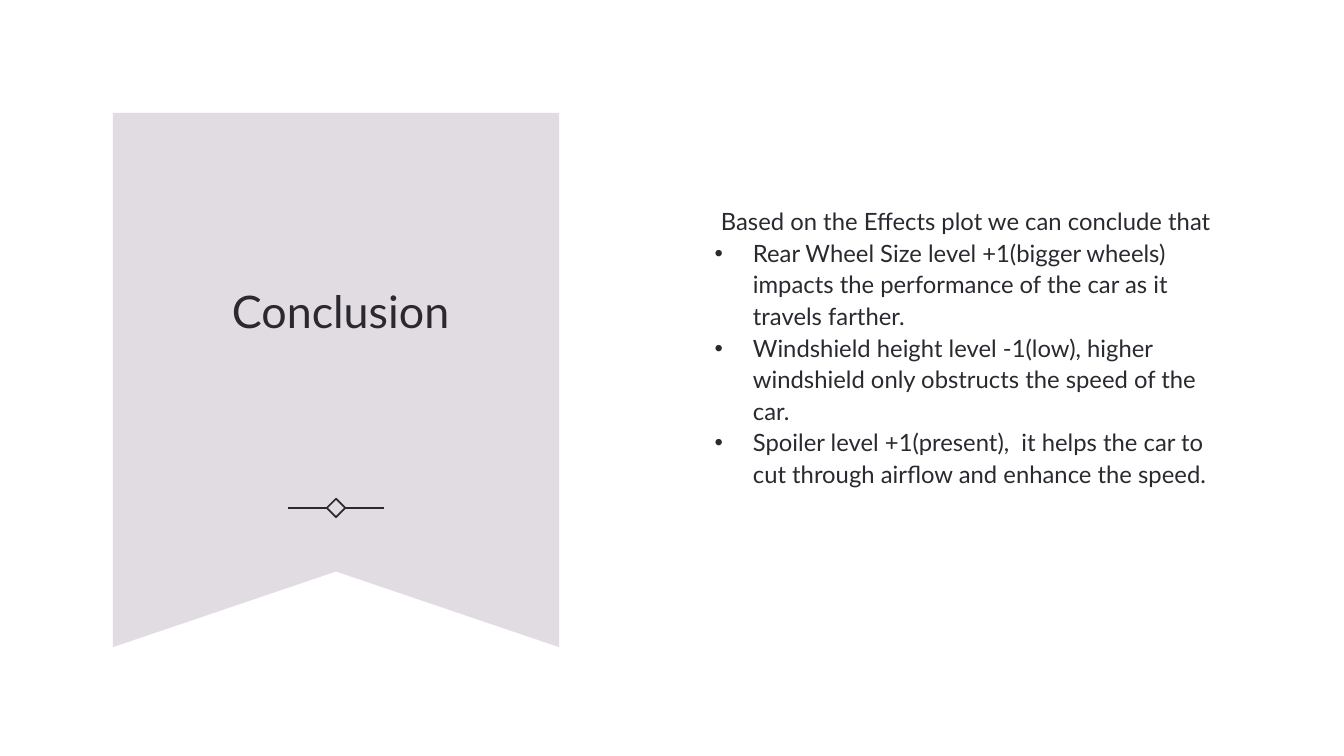
"""Build the conclusion slide: a ribbon banner with the title beside the findings."""
import lxml.etree
import pptx
import pptx.dml.color
import pptx.enum.shapes
import pptx.enum.text
import pptx.oxml.ns
import pptx.util

INK, LILAC = "2C2830", "E0DCE1"
FINDINGS = [
    "Rear Wheel Size level +1(bigger wheels) impacts the performance of the car as it travels farther.",
    "Windshield height level -1(low), higher windshield only obstructs the speed of the car.",
    "Spoiler level +1(present),  it helps the car to cut through airflow and enhance the speed.",
]

deck = pptx.Presentation()
deck.slide_width = pptx.util.Inches(13.33)
deck.slide_height = pptx.util.Inches(7.5)
column, row = deck.slide_width / 100, deck.slide_height / 100
page = deck.slides.add_slide(deck.slide_layouts[5])
qualified = pptx.oxml.ns.qn


def color(value):
    return pptx.dml.color.RGBColor.from_string(value)


def write(para, text, size, align):
    span = para.add_run()
    span.text = text
    span.font.color.rgb = color(INK)
    for name, value in {"name": "Lato", "size": pptx.util.Pt(size), "bold": False}.items():
        setattr(span.font, name, value)
    for name, value in {"alignment": align, "line_spacing": 1.1}.items():
        setattr(para, name, value)


middle, notch, bottom = 25, 75.6, 85.6
left, right, top = 8.4, 41.6, 14.93
outline = [(left, top), (right, top), (right, bottom), (middle, notch), (left, bottom)]
corners = [(round(x * column), round(y * row)) for x, y in outline]
builder = page.shapes.build_freeform(*corners[0])
builder.add_line_segments(corners[1:], close=True)
banner = builder.convert_to_shape()
banner.shadow.inherit = False
banner.fill.solid()
banner.fill.fore_color.rgb = color(LILAC)
banner.line.fill.background()

ornament_row, side = 67.2 * row, pptx.util.Inches(0.13)
diamond = page.shapes.add_shape(
    pptx.enum.shapes.MSO_SHAPE.RECTANGLE,
    round(middle * column - side / 2), round(ornament_row - side / 2), side, side)
diamond.rotation = 45
diamond.shadow.inherit = False
diamond.fill.background()
strokes = [diamond]
for direction in (-1, 1):
    inner, outer = [round((middle + direction * gap) * column) for gap in (0.7, 3.55)]
    stroke = page.shapes.add_connector(
        pptx.enum.shapes.MSO_CONNECTOR.STRAIGHT,
        inner, round(ornament_row), outer, round(ornament_row))
    lxml.etree.SubElement(stroke._element.spPr, qualified("a:effectLst"))
    strokes.append(stroke)
for stroke in strokes:
    stroke.line.color.rgb = color(INK)
    stroke.line.width = pptx.util.Pt(1.25)

title = page.shapes.title
banner._element.getparent().append(title._element)
body = page.shapes.add_textbox(0, 0, 0, 0)
areas = [(title, (11.55, 19.73, 27.6, 41.87)), (body, (52.43, 10.53, 38.86, 70.5))]
for box, (x, y, width, height) in areas:
    place = {"left": x * column, "top": y * row, "width": width * column, "height": height * row}
    for name, value in place.items():
        setattr(box, name, round(value))
    frame = {"word_wrap": True, "auto_size": pptx.enum.text.MSO_AUTO_SIZE.NONE,
             "vertical_anchor": pptx.enum.text.MSO_ANCHOR.MIDDLE}
    for name, value in frame.items():
        setattr(box.text_frame, name, value)

center, start = pptx.enum.text.PP_ALIGN.CENTER, pptx.enum.text.PP_ALIGN.LEFT
write(title.text_frame.paragraphs[0], "Conclusion", 32, center)
write(body.text_frame.paragraphs[0], "Based on the Effects plot we can conclude that", 17, center)
indent = pptx.util.Inches(0.38)
for finding in FINDINGS:
    para = body.text_frame.add_paragraph()
    settings = para._p.get_or_add_pPr()
    settings.set("marL", str(indent))
    settings.set("indent", str(-indent))
    font = lxml.etree.SubElement(settings, qualified("a:buFont"))
    font.set("typeface", "Arial")
    bullet = lxml.etree.SubElement(settings, qualified("a:buChar"))
    bullet.set("char", "•")
    write(para, finding, 17, start)
    para.space_before = pptx.util.Pt(0.3)

deck.save("out.pptx")
